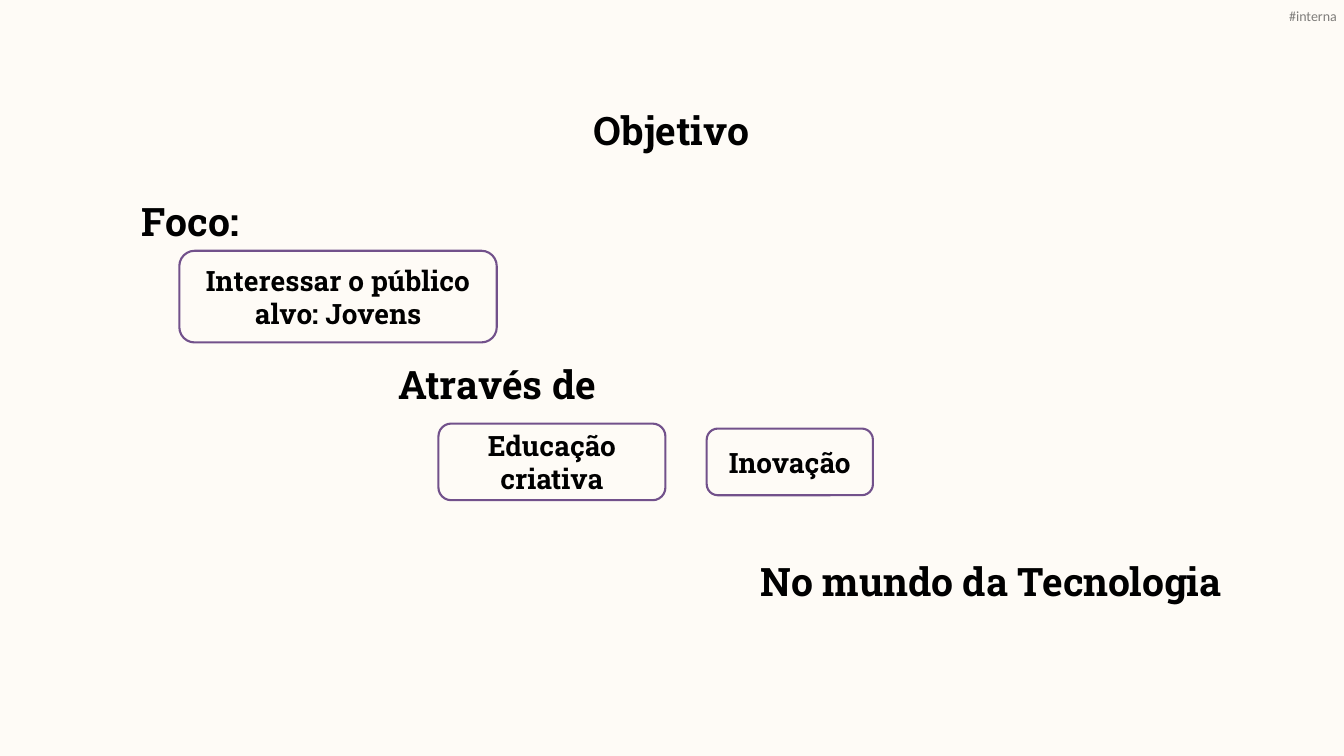
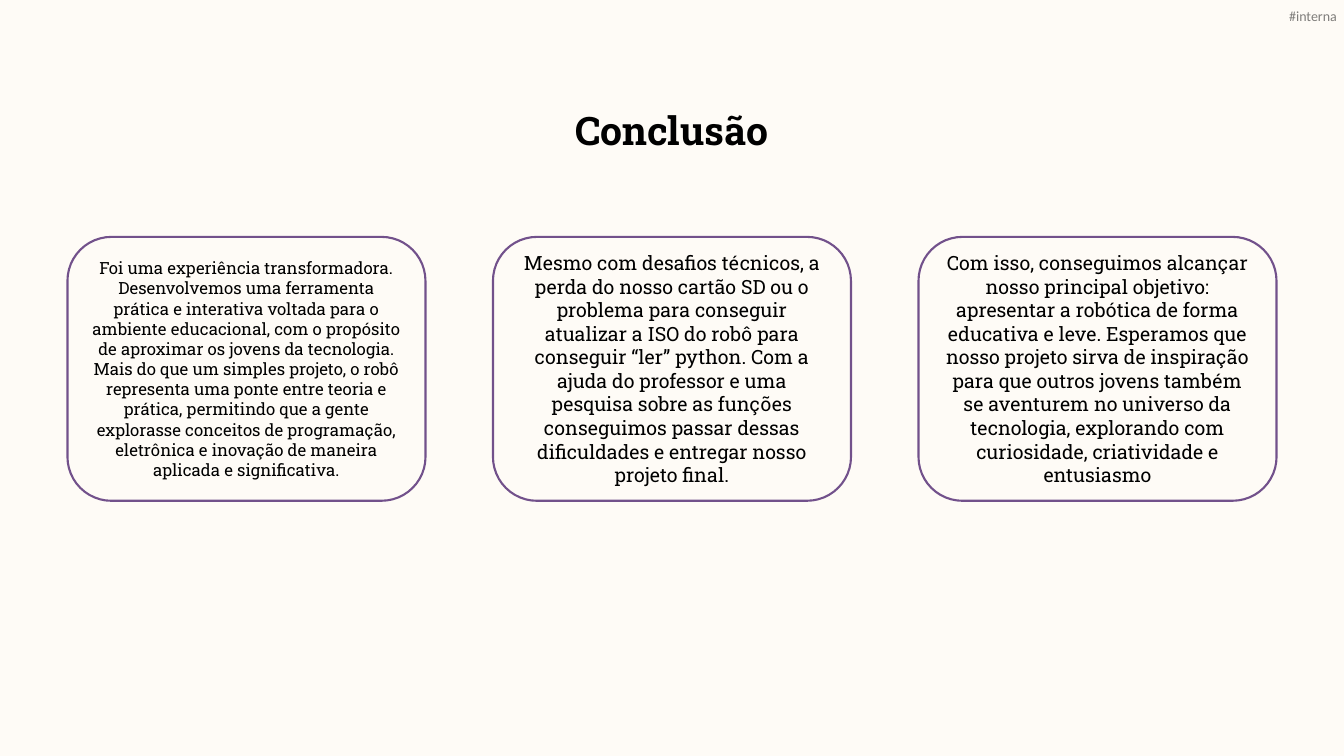
from lxml import etree
from pptx import Presentation
from pptx.dml.color import RGBColor
from pptx.enum import shapes, text
from pptx.oxml.ns import qn
from pptx.util import Cm, Pt

COLOURS = {"paper": "FEFBF6", "ink": "000000", "outline": "72518B"}
SLIDE_W, SLIDE_H = 33.87, 19.05
TITLE_BOX = (10.64, 2.54, 12.57, 1.45)
HEADING_H = 1.45

# Font formats by role
HEADING = {"name": "Roboto Slab", "size": Pt(28), "bold": True}
CHIP = {"name": "Roboto Slab", "size": Pt(20), "bold": True}
CARD = {"name": "Roboto Slab", "size": Pt(14), "bold": False}
SMALL_CARD = {**CARD, "size": Pt(12)}
TAG = {"name": "Calibri", "size": Pt(10), "bold": False}

CARDS = [
    ("Foi uma experiência transformadora. Desenvolvemos uma ferramenta prática e "
     "interativa voltada para o ambiente educacional, com o propósito de aproximar "
     "os jovens da tecnologia. Mais do que um simples projeto, o robô representa "
     "uma ponte entre teoria e prática, permitindo que a gente explorasse conceitos "
     "de programação, eletrônica e inovação de maneira aplicada e significativa.",
     SMALL_CARD),
    ("Mesmo com desafios técnicos, a perda do nosso cartão SD ou o problema para "
     "conseguir atualizar a ISO do robô para conseguir “ler” python. Com a ajuda do "
     "professor e uma pesquisa sobre as funções conseguimos passar dessas "
     "dificuldades e entregar nosso projeto final.", CARD),
    ("Com isso, conseguimos alcançar nosso principal objetivo: apresentar a robótica "
     "de forma educativa e leve. Esperamos que nosso projeto sirva de inspiração "
     "para que outros jovens também se aventurem no universo da tecnologia, "
     "explorando com curiosidade, criatividade e entusiasmo", CARD),
]


def colour(name):
    return RGBColor.from_string(COLOURS[name])


def write(shape, words, font, align=text.PP_ALIGN.CENTER):
    frame = shape.text_frame
    settings = {"word_wrap": True, "auto_size": text.MSO_AUTO_SIZE.NONE,
                "vertical_anchor": text.MSO_ANCHOR.MIDDLE}
    for key, value in settings.items():
        setattr(frame, key, value)
    para = frame.paragraphs[0]
    para.alignment = align
    span = para.add_run()
    span.text = words
    for key, value in font.items():
        setattr(span.font, key, value)
    span.font.color.rgb = colour("ink")
    return span


def add_heading(page, box, words):
    write(page.shapes.add_textbox(*map(Cm, box)), words, HEADING)


def add_outlined(page, box, words, font):
    shape = page.shapes.add_shape(shapes.MSO_SHAPE.ROUNDED_RECTANGLE, *map(Cm, box))
    shape.shadow.inherit = False
    shape.fill.background()
    shape.line.color.rgb = colour("outline")
    shape.line.width = Pt(1.5)
    write(shape, words, font)


def add_page(deck, title):
    page = deck.slides.add_slide(deck.slide_layouts.get_by_name("Title Only"))
    holder = page.shapes.title
    for key, value in zip(("left", "top", "width", "height"), TITLE_BOX):
        setattr(holder, key, Cm(value))
    write(holder, title, HEADING)
    return page


def set_up_master(deck, page):
    """Give the master its background and the classification tag."""
    master = deck.slide_master
    master.background.fill.solid()
    master.background.fill.fore_color.rgb = colour("paper")
    tag = page.shapes.add_textbox(Cm(32.49), Cm(0.18), Cm(1.3), Cm(0.43))
    span = write(tag, "#interna", TAG, text.PP_ALIGN.LEFT)
    frame = tag.text_frame
    frame.word_wrap = False
    for side in ("left", "top", "right", "bottom"):
        setattr(frame, f"margin_{side}", 0)
    # Half-transparent lettering
    tint = next(span.font.fill._xPr.iter(qn("a:srgbClr")))
    etree.SubElement(tint, qn("a:alpha")).set("val", "50000")
    # A master has no add_textbox, so the tag is moved there
    master.shapes.element.append(tag.element)


def fill_objective(page, box):
    """Staircase of headings, each with its outlined keywords below."""
    left, top, width, height = box
    # Focus
    add_heading(page, (left, top, 3.45, HEADING_H), "Foco:")
    add_outlined(page, (left + 1.45, top + 1.47, 8, 2.31),
                 "Interessar o público alvo: Jovens", CHIP)
    # Means: two keywords centred on one line
    add_heading(page, (left + 6.53, top + 4.09, 5.87, HEADING_H), "Através de")
    middle = top + 6.79
    for dx, wide, high, words in ((7.98, 5.72, 1.93, "Educação criativa"),
                                  (14.74, 4.19, 1.68, "Inovação")):
        add_outlined(page, (left + dx, middle - high / 2, wide, high), words, CHIP)
    # Setting, in the lower right corner
    add_heading(page, (left + width - 12.57, top + height - HEADING_H, 12.57, HEADING_H),
                "No mundo da Tecnologia")


def fill_conclusion(page, box, gap=1.7):
    """Equal cards side by side."""
    left, top, width, height = box
    card_w = (width - gap * (len(CARDS) - 1)) / len(CARDS)
    for index, (words, font) in enumerate(CARDS):
        add_outlined(page, (left + index * (card_w + gap), top, card_w, height),
                     words, font)


def main():
    deck = Presentation()
    deck.slide_width, deck.slide_height = Cm(SLIDE_W), Cm(SLIDE_H)

    objective = add_page(deck, "Objetivo")
    set_up_master(deck, objective)
    fill_objective(objective, (3.07, 4.85, 28.19, 10.52))

    conclusion = add_page(deck, "Conclusão")
    fill_conclusion(conclusion, (1.7, 5.97, SLIDE_W - 2 * 1.7, 6.65))

    deck.save("out.pptx")


if __name__ == "__main__":
    main()
